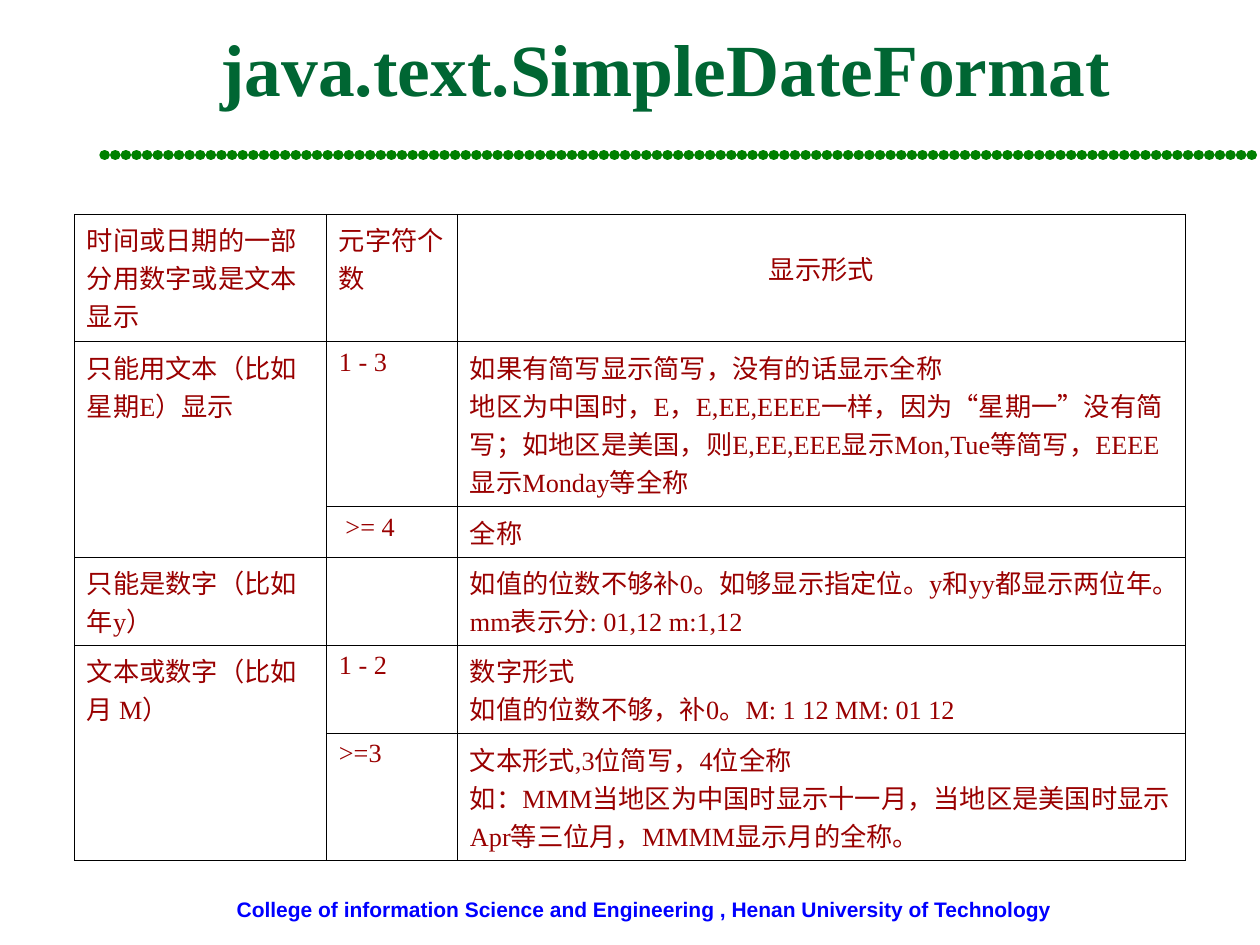
"""Build a slide on SimpleDateFormat pattern letters with a ruled table."""
import pptx
import pptx.dml.color
import pptx.enum.shapes
import pptx.enum.text
import pptx.oxml
import pptx.oxml.ns
import pptx.util

Inches = pptx.util.Inches
Pt = pptx.util.Pt
RGBColor = pptx.dml.color.RGBColor
ALIGN = pptx.enum.text.PP_ALIGN
ANCHOR = pptx.enum.text.MSO_ANCHOR

GREEN = RGBColor(0x00, 0x66, 0x33)
DOTS = RGBColor(0x00, 0x80, 0x00)
RED = RGBColor(0x99, 0x00, 0x00)
BLUE = RGBColor(0x00, 0x00, 0xFF)
SERIF = "Times New Roman"
NS = pptx.oxml.ns.nsdecls("a")

TITLE = "java.text.SimpleDateFormat"
FOOTER = "College of information Science and Engineering , Henan University of Technology"
ROWS = [
    ("时间或日期的一部分用数字或是文本显示", "元字符个数", "显示形式"),
    ("只能用文本（比如星期E）显示", "1 - 3",
     "如果有简写显示简写，没有的话显示全称\n"
     "地区为中国时，E，E,EE,EEEE一样，因为“星期一”没有简写；"
     "如地区是美国，则E,EE,EEE显示Mon,Tue等简写，EEEE显示Monday等全称"),
    ("", " >= 4", "全称"),
    ("只能是数字（比如年y）", "",
     "如值的位数不够补0。如够显示指定位。y和yy都显示两位年。mm表示分: 01,12 m:1,12"),
    ("文本或数字（比如月 M）", "1 - 2",
     "数字形式\n如值的位数不够，补0。M: 1 12 MM: 01 12"),
    ("", ">=3",
     "文本形式,3位简写，4位全称\n"
     "如：MMM当地区为中国时显示十一月，当地区是美国时显示Apr等三位月，MMMM显示月的全称。"),
]
WIDTHS = [2, 1.04, 5.78]
HEIGHTS = [1.01, 1.31, 0.4, 0.7, 0.7, 1.01]
MERGES = [(1, 2), (4, 5)]


def style(frame, size, face, color, bold=False):
    for para in frame.paragraphs:
        for font in [para.font] + [run.font for run in para.runs]:
            font.size = Pt(size)
            font.name = face
            font.bold = bold
            font.color.rgb = color


def rule(cell):
    props = cell._tc.get_or_add_tcPr()
    for spot, side in enumerate(("lnL", "lnR", "lnT", "lnB")):
        props.insert(spot, pptx.oxml.parse_xml(
            f'<a:{side} {NS} w="{Pt(0.45)}"><a:solidFill><a:srgbClr val="000000"/>'
            f'</a:solidFill></a:{side}>'))


def add_title(slide):
    title = slide.shapes.title
    title.left, title.top = Inches(1.06), Inches(0.13)
    title.width, title.height = Inches(8.44), Inches(0.93)
    frame = title.text_frame
    frame.text = TITLE
    frame.auto_size = pptx.enum.text.MSO_AUTO_SIZE.NONE
    frame.vertical_anchor = ANCHOR.TOP
    frame.paragraphs[0].alignment = ALIGN.CENTER
    style(frame, 42, SERIF, GREEN, True)


def add_dots(slide):
    kind = pptx.enum.shapes.MSO_CONNECTOR.STRAIGHT
    line = slide.shapes.add_connector(
        kind, Inches(0.83), Inches(1.23), Inches(10), Inches(1.23))
    line.line.color.rgb = DOTS
    line.line.width = Pt(6)
    pen = line.line._get_or_add_ln()
    pen.set("cap", "rnd")
    pen.append(pptx.oxml.parse_xml(
        f'<a:custDash {NS}><a:ds d="1000" sp="100000"/></a:custDash>'))
    line._element.spPr.append(pptx.oxml.parse_xml(f"<a:effectLst {NS}/>"))


def add_grid(slide):
    grid = slide.shapes.add_table(
        len(ROWS), len(WIDTHS), Inches(0.59), Inches(1.7),
        Inches(sum(WIDTHS)), Inches(sum(HEIGHTS))).table
    grid.first_row = grid.horz_banding = False
    for col, width in zip(grid.columns, WIDTHS):
        col.width = Inches(width)
    for row, height, texts in zip(grid.rows, HEIGHTS, ROWS):
        row.height = Inches(height)
        for cell, text in zip(row.cells, texts):
            cell.text_frame.text = text
            cell.fill.background()
            rule(cell)
            style(cell.text_frame, 15, SERIF, RED)
    for top, end in MERGES:
        grid.cell(top, 0).merge(grid.cell(end, 0))
    head = grid.cell(0, 2)
    head.margin_top = Inches(0.28)
    head.text_frame.paragraphs[0].alignment = ALIGN.CENTER


def add_footer(slide):
    box = slide.shapes.add_textbox(
        Inches(1.78), Inches(7.07), Inches(6.68), Inches(0.3))
    box.text_frame.text = FOOTER
    box.text_frame.word_wrap = False
    style(box.text_frame, 12, "Arial", BLUE, True)


def main():
    deck = pptx.Presentation()
    deck.slide_width, deck.slide_height = Inches(10), Inches(7.5)
    slide = deck.slides.add_slide(deck.slide_layouts[5])
    for add in (add_footer, add_dots, add_title, add_grid):
        add(slide)
    deck.save("out.pptx")


if __name__ == "__main__":
    main()
